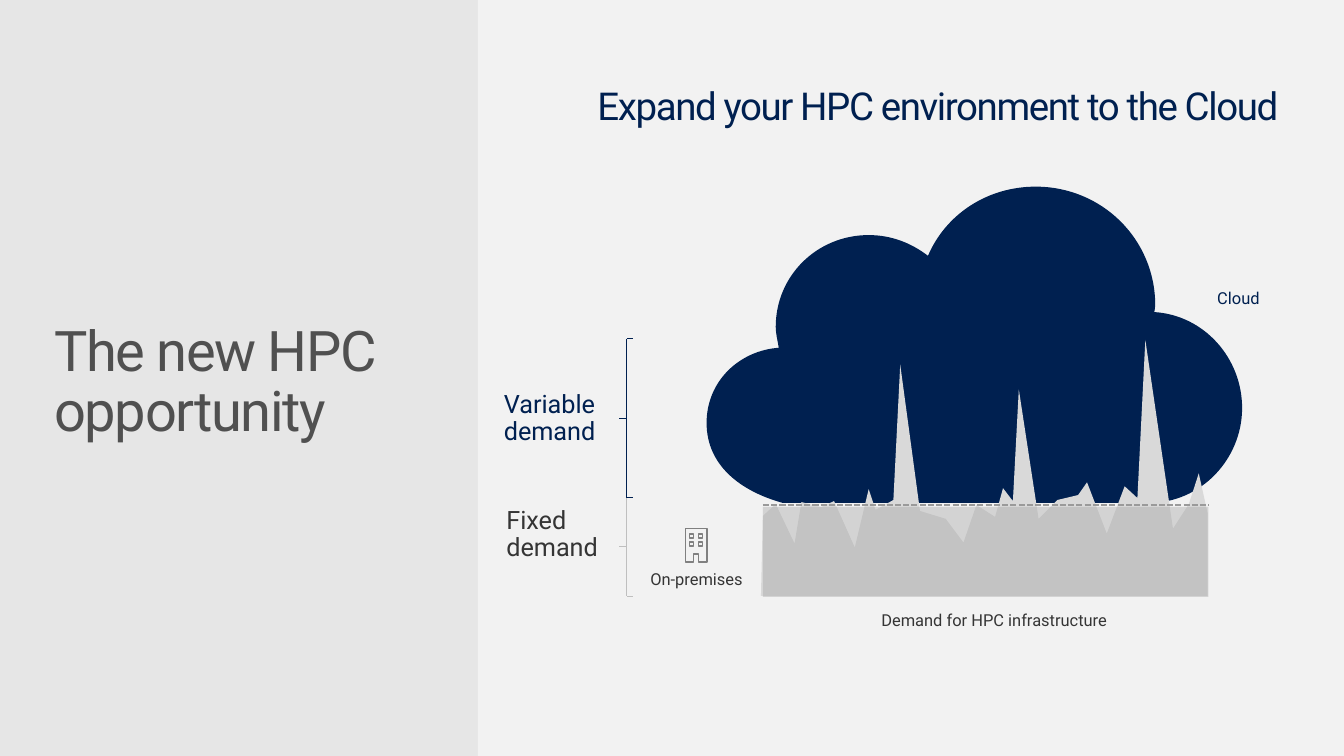
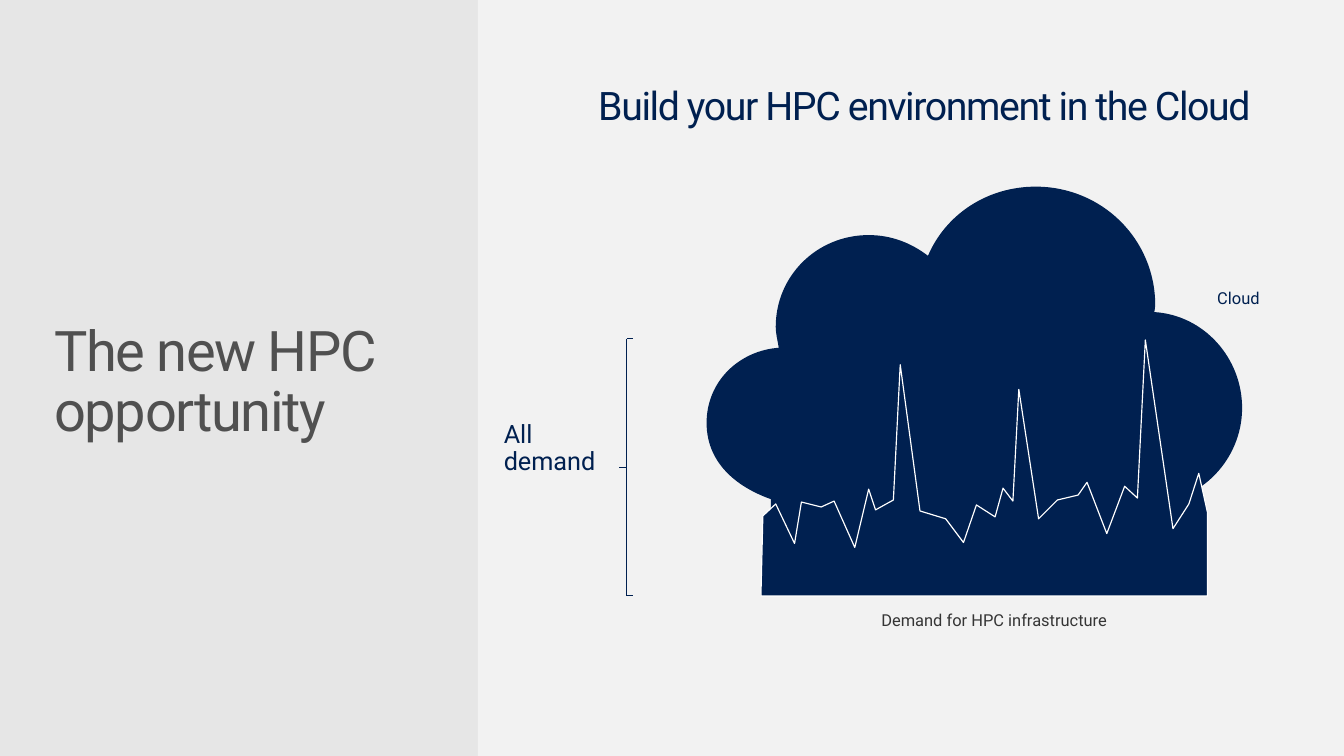
from lxml import etree
from pptx import Presentation
from pptx.dml import color
from pptx.enum import dml, shapes, text
from pptx.oxml import ns
from pptx.util import Pt

NAVY, CHARCOAL, TITLE_GRAY = "002050", "353535", "505050"
BACKGROUND, PANEL = "E6E6E6", "F2F2F2"
PEAK_GRAY, BRACKET_GRAY, ICON_GRAY, BASE_GRAY = "D9D9D9", "BFBFBF", "808080", "9A9A9A"
WHITE = "FFFFFF"
FONT = "Roboto"

PANEL_BOX = (348.2, 0, 631, 550.8)
TITLE_BOX = (32.4, 231, 356.4, 88.6)
HEADING_BOX = (428.8, 59.8, 509, 88.6)
CLOUD_BOX = (514.8, 136, 390.2, 231)
DEMAND_BOX = (554.4, 247.7, 325.4, 186.5)
ICON_BOX = (499.5, 385, 15.8, 24.5)

CLOUD_START = (326.2, 91.4)
CLOUD_CURVES = [
    ((326.2, 90.7), (326.9, 88.6), (326.9, 86.4)),
    ((326.9, 38.2), (288, 0), (239.8, 0)),
    ((204.5, 0), (174.2, 20.2), (161.3, 50.4)),
    ((149, 41), (134.6, 35.3), (118.1, 35.3)),
    ((80.6, 35.3), (50.4, 64.8), (50.4, 102.2)),
    ((50.4, 107.3), (51.8, 112.3), (52.6, 117.4)),
    ((23.8, 119.5), (0, 141.8), (0, 172.1)),
    ((0, 203), (24.5, 221.8), (55.4, 230.4)),
    ((56.9, 230.4), (56.9, 230.4), (56.9, 230.4)),
    ((322.6, 230.4), (322.6, 230.4), (322.6, 230.4)),
    ((360, 230.4), (390.2, 198.7), (390.2, 161.3)),
    ((390.2, 124.6), (362.2, 93.6), (326.2, 91.4)),
]
DEMAND_POINTS = [
    (1.4, 128.2), (10.8, 119.5), (24.5, 148.3), (29.5, 118.1), (43.9, 121.7),
    (53.3, 117.4), (68.4, 151.2), (78.5, 108.7), (83.5, 123.8), (96.5, 116.6),
    (101.5, 18), (115.9, 124.6), (134.6, 130.3), (147.6, 147.6), (157, 120.2),
    (170.6, 128.9), (176.4, 108), (183.6, 117.4), (187.9, 36), (202.3, 130.3),
    (216, 116.6), (231.1, 113), (237.6, 103.7), (252, 141.1), (265, 106.6),
    (274.3, 115.2), (280.1, 0), (300.2, 137.5), (311.8, 119.5), (319, 97.2),
    (325.4, 126), (325.4, 186.5), (0, 186.5),
]


def rgb(value):
    return color.RGBColor.from_string(value)


def set_values(target, values):
    for name, value in values.items():
        setattr(target, name, value)


def place(shape, box):
    set_values(shape, dict(zip(("left", "top", "width", "height"), map(Pt, box))))


def style_shape(shape, fill=None, line=None, width=0.75):
    shape.shadow.inherit = False
    if fill:
        shape.fill.solid()
        shape.fill.fore_color.rgb = rgb(fill)
    else:
        shape.fill.background()
    if line:
        shape.line.color.rgb = rgb(line)
        shape.line.width = Pt(width)
    else:
        shape.line.fill.background()


def write_text(shape, words, size, colour, align="LEFT", spacing=1.0,
               tracking=None, insets=(7.2, 3.6), wrap=True):
    frame = shape.text_frame
    side, top = map(Pt, insets)
    set_values(frame, {
        "word_wrap": wrap, "auto_size": text.MSO_AUTO_SIZE.NONE,
        "vertical_anchor": text.MSO_ANCHOR.TOP,
        "margin_left": side, "margin_right": side,
        "margin_top": top, "margin_bottom": top,
    })
    paragraph = frame.paragraphs[0]
    set_values(paragraph, {"alignment": getattr(text.PP_ALIGN, align),
                           "line_spacing": spacing})
    run = paragraph.add_run()
    run.text = words
    set_values(run.font, {"name": FONT, "size": Pt(size)})
    run.font.color.rgb = rgb(colour)
    if tracking:
        run._r.get_or_add_rPr().set("spc", str(tracking))


def add_label(slide, box, words, size, colour, **options):
    label = slide.shapes.add_textbox(*map(Pt, box))
    write_text(label, words, size, colour, **options)


def add_rectangle(slide, box, **style):
    rectangle = slide.shapes.add_shape(shapes.MSO_SHAPE.RECTANGLE, *map(Pt, box))
    style_shape(rectangle, **style)
    return rectangle


def add_line(slide, start, end, colour, width=0.75):
    line = slide.shapes.add_connector(
        shapes.MSO_CONNECTOR.STRAIGHT, *map(Pt, (*start, *end)))
    line.line.color.rgb = rgb(colour)
    line.line.width = Pt(width)
    etree.SubElement(line._element.spPr, ns.qn("a:effectLst"))
    return line


def add_outline(slide, box, points, **style):
    left, top = box[:2]
    corners = [(Pt(left + x), Pt(top + y)) for x, y in points]
    builder = slide.shapes.build_freeform(*corners[0])
    builder.add_line_segments(corners[1:], close=True)
    outline = builder.convert_to_shape()
    style_shape(outline, **style)
    return outline


def add_curved_outline(slide, box, start, curves, **style):
    outline = add_outline(slide, box, [start] + [curve[-1] for curve in curves], **style)
    segments = list(outline._element.iter(ns.qn("a:lnTo")))
    for segment, curve in zip(segments, curves):
        bezier = etree.Element(ns.qn("a:cubicBezTo"))
        for x, y in curve:
            etree.SubElement(bezier, ns.qn("a:pt"), x=str(int(Pt(x))), y=str(int(Pt(y))))
        segment.getparent().replace(segment, bezier)


def draw_frame(slide, heading, size, align):
    background = slide.background.fill
    background.solid()
    background.fore_color.rgb = rgb(BACKGROUND)
    add_rectangle(slide, PANEL_BOX, fill=PANEL)
    title = slide.shapes.title
    place(title, TITLE_BOX)
    write_text(title, "The new HPC opportunity", 40.8, TITLE_GRAY,
               spacing=0.9, tracking=-100, insets=(7.2, 4.2))
    add_label(slide, HEADING_BOX, heading, size, NAVY, align=align,
              spacing=0.9, tracking=-100, wrap=align == "LEFT")


def draw_cloud(slide, box):
    left, top, width, height = box
    add_curved_outline(slide, box, CLOUD_START, CLOUD_CURVES, fill=NAVY)
    add_label(slide, (left + 363, top + 66.3, 49, 35.3), "Cloud", 12, NAVY,
              align="CENTER", insets=(7.2, 7.2))


def draw_caption(slide, box):
    left, top, width, height = box
    caption = add_rectangle(slide, (left + 80.6, top + height + 6.6, 181.4, 22.3), fill=PANEL)
    write_text(caption, "Demand for HPC infrastructure", 12, CHARCOAL, wrap=False)


def draw_bracket(slide, box, words, label_box, line_colour, text_colour):
    left, top, width, height = box
    right, bottom, middle = left + width, top + height, top + height / 2
    spine = right - 4.5
    x, y, label_width, label_height = label_box
    add_label(slide, (left + x, top + y, label_width, label_height), words, 18.4,
              text_colour, spacing=0.9)
    for start, end in (
        ((spine, top), (spine, bottom)),
        ((right, top), (spine, top)),
        ((right, bottom), (spine, bottom)),
        ((spine, middle), (spine - 5.8, middle)),
    ):
        add_line(slide, start, end, line_colour)


def draw_on_premises(slide, box):
    left, top, width, height = box
    add_label(slide, (left - 28, top + 29.5, 72, 15.8), "On-premises", 12, CHARCOAL,
              align="CENTER", insets=(0, 0))
    door_left, door_right, door_top = 5.8, 9.4, 18.7
    building = [(0, 0), (width, 0), (width, height), (door_right, height),
                (door_right, door_top), (door_left, door_top), (door_left, height), (0, height)]
    add_outline(slide, box, building, line=ICON_GRAY, width=1.25)
    for x in (2.9, 9.4):
        for y in (4.3, 10.1):
            add_rectangle(slide, (left + x, top + y, 2.9, 2.9), line=ICON_GRAY, width=1.25)


def draw_fixed_capacity(slide, box):
    left, top, width, height = box
    limit = add_line(slide, (left, top), (left + width, top), BASE_GRAY, 1.5)
    limit.line.dash_style = dml.MSO_LINE.SQUARE_DOT
    capacity = add_rectangle(slide, (left, top + 1.4, width, height - 1.4), fill=BASE_GRAY)
    fill_colour = capacity._element.spPr.find(".//" + ns.qn("a:srgbClr"))
    etree.SubElement(fill_colour, ns.qn("a:alpha"), val="34000")


def build_expand_slide(slide):
    draw_frame(slide, "Expand your HPC environment to the Cloud", 28, "CENTER")
    draw_cloud(slide, CLOUD_BOX)
    add_outline(slide, DEMAND_BOX, DEMAND_POINTS, fill=PEAK_GRAY)
    draw_caption(slide, DEMAND_BOX)
    draw_on_premises(slide, ICON_BOX)
    draw_bracket(slide, (360, 362.6, 101, 71.7), "Fixed demand",
                 (1.9, 3.9, 84.2, 47.5), BRACKET_GRAY, CHARCOAL)
    draw_bracket(slide, (360, 246.7, 101, 115.9), "Variable demand",
                 (0, 35.3, 128.2, 67.7), NAVY, NAVY)
    draw_fixed_capacity(slide, (555.8, 367.9, 324.7, 67))


def build_cloud_only_slide(slide):
    draw_frame(slide, "Build your HPC environment in the Cloud", 28.6, "LEFT")
    draw_cloud(slide, CLOUD_BOX)
    draw_caption(slide, DEMAND_BOX)
    draw_bracket(slide, (360, 246.7, 101, 187.2), "All demand",
                 (0, 56.9, 96.5, 67.7), NAVY, NAVY)
    left, top, width, height = DEMAND_BOX
    add_rectangle(slide, (left + 7.2, top + 92.9, 312.5, height - 92.9), fill=NAVY)
    add_outline(slide, DEMAND_BOX, DEMAND_POINTS, fill=NAVY, line=WHITE, width=0.85)


def main():
    presentation = Presentation()
    set_values(presentation, {"slide_width": Pt(979.2), "slide_height": Pt(550.8)})
    for build in (build_expand_slide, build_cloud_only_slide):
        build(presentation.slides.add_slide(presentation.slide_layouts[5]))
    presentation.save("out.pptx")


if __name__ == "__main__":
    main()
